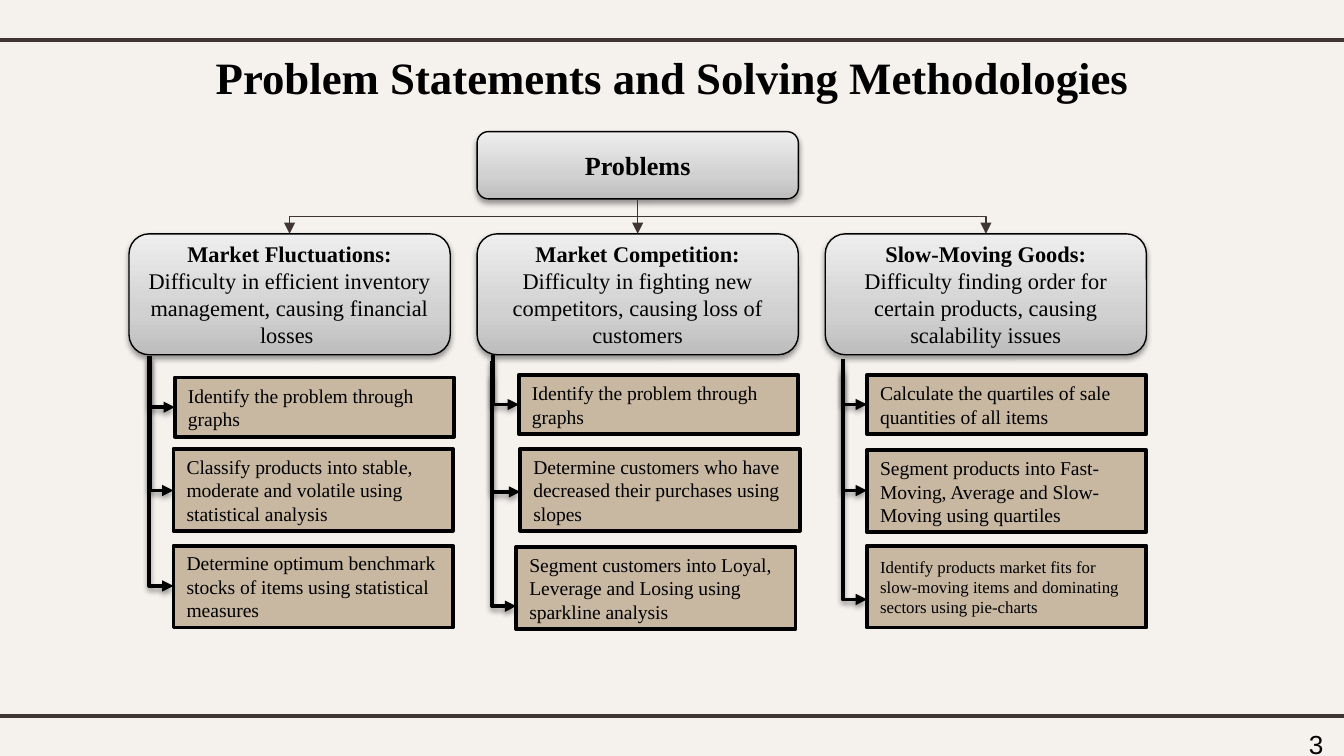
import copy
import pptx
import pptx.dml.color
import pptx.enum.shapes
import pptx.enum.text
import pptx.oxml
import pptx.oxml.ns
import pptx.util

Inches = pptx.util.Inches
Pt = pptx.util.Pt
RGBColor = pptx.dml.color.RGBColor
SHAPE = pptx.enum.shapes.MSO_SHAPE
LINK = pptx.enum.shapes.MSO_CONNECTOR
ALIGN = pptx.enum.text.PP_ALIGN
ANCHOR = pptx.enum.text.MSO_ANCHOR
qn = pptx.oxml.ns.qn
NS = pptx.oxml.ns.nsdecls("a")

PAPER = RGBColor(0xF5, 0xF2, 0xEE)
BLACK = RGBColor(0, 0, 0)
BROWN = RGBColor(0x3F, 0x35, 0x33)
TAN = RGBColor(0xC8, 0xB8, 0xA2)
GREYS = [
    (0, RGBColor(0xBD, 0xBD, 0xBD)),
    (0.35, RGBColor(0xD1, 0xD1, 0xD1)),
    (1, RGBColor(0xEE, 0xEE, 0xEE)),
]
SERIF = "Times New Roman"

HEAD_W, HEAD_H, HEAD_TOP = 2.39, 0.9, 1.74
ROOT_X, ROOT_TOP, ROOT_H = 3.55, 0.98, 0.5
STEP_W = 2.08
STEP_H = [0.44, 0.61, 0.61]

GROUPS = [
    (0.96, "Market Fluctuations:",
     " Difficulty in efficient inventory management, causing financial losses ", [
         ("Identify the problem through graphs", 10.5, 1.3, 2.81, 1.12, 2.67, 3.03),
         ("Classify products into stable, moderate and volatile using statistical analysis",
          10.5, 1.29, 3.34, 1.12, 2.65, 3.65),
         ("Determine optimum benchmark stocks of items using statistical measures",
          10.5, 1.29, 4.06, 1.11, 2.65, 4.36),
     ]),
    (3.55, "Market Competition: ",
     "Difficulty in fighting new competitors, causing loss of customers", [
         ("Identify the problem through graphs", 10.5, 3.86, 2.79, 3.67, 2.64, 3.01),
         ("Determine customers who have decreased their purchases using slopes",
          10.5, 3.87, 3.34, 3.66, 2.69, 3.66),
         ("Segment customers into Loyal, Leverage and Losing using sparkline analysis",
          10.5, 3.84, 4.07, 3.66, 2.79, 4.51),
     ]),
    (6.14, "Slow-Moving Goods: ",
     "Difficulty finding order for certain products, causing scalability issues", [
         ("Calculate the quartiles of sale quantities of all items",
          10.5, 6.45, 2.79, 6.27, 2.78, 3.01),
         ("Segment products into Fast-Moving, Average and Slow-Moving using quartiles",
          10.5, 6.45, 3.35, 6.27, 2.67, 3.65),
         ("Identify products market fits for slow-moving items and dominating sectors "
          "using pie-charts", 9, 6.45, 4.06, 6.27, 2.74, 4.46),
     ]),
]


def write(frame, runs, size, align=ALIGN.LEFT, font=SERIF):
    frame.word_wrap = True
    para = frame.paragraphs[0]
    para.alignment = align
    for text, bold in runs:
        run = para.add_run()
        run.text = text
        run.font.name = font
        run.font.size = Pt(size)
        run.font.bold = bold
        run.font.color.rgb = BLACK


def add_text(slide, area, runs, size, align=ALIGN.LEFT, font=SERIF):
    box = slide.shapes.add_textbox(*map(Inches, area))
    write(box.text_frame, runs, size, align, font)


def set_shade(props, shade):
    for old in props.findall(qn("a:effectLst")):
        props.remove(old)
    drop = (
        '<a:outerShdw blurRad="39370" dist="20320" dir="5400000" rotWithShape="0">'
        '<a:srgbClr val="000000"><a:alpha val="38000"/></a:srgbClr></a:outerShdw>'
    ) if shade else ""
    props.append(pptx.oxml.parse_xml(f"<a:effectLst {NS}>{drop}</a:effectLst>"))


def add_box(slide, kind, area, width):
    box = slide.shapes.add_shape(kind, *map(Inches, area))
    box.shadow.inherit = False
    box.line.color.rgb = BLACK
    box.line.width = Pt(width)
    box.text_frame.vertical_anchor = ANCHOR.MIDDLE
    return box


def add_head(slide, area, runs, size):
    box = add_box(slide, SHAPE.ROUNDED_RECTANGLE, area, 0.75)
    props = box._element.spPr
    box.fill.gradient()
    stops = props.find(qn("a:gradFill")).find(qn("a:gsLst"))
    stops.append(copy.deepcopy(stops[0]))
    for stop, (place, grey) in zip(box.fill.gradient_stops, GREYS):
        stop.position = place
        stop.color.rgb = grey
    box.fill.gradient_angle = 90
    set_shade(props, True)
    write(box.text_frame, runs, size, ALIGN.CENTER)


def add_step(slide, area, text, size):
    box = add_box(slide, SHAPE.RECTANGLE, area, 2)
    box.fill.solid()
    box.fill.fore_color.rgb = TAN
    write(box.text_frame, [(text, False)], size)


def add_line(slide, kind, ends, color, width, arrow=True, shade=False):
    line = slide.shapes.add_connector(kind, *map(Inches, ends))
    line.line.color.rgb = color
    line.line.width = Pt(width)
    props = line._element.spPr
    if arrow:
        tip = pptx.oxml.parse_xml(f'<a:tailEnd {NS} type="triangle"/>')
        props.find(qn("a:ln")).append(tip)
    set_shade(props, shade)
    return props


def add_elbow(slide, ends, color, width, preset, shade=False):
    x1, y1, x2, y2 = ends
    mid_x, mid_y = (x1 + x2) / 2, (y1 + y2) / 2
    half_w, half_h = abs(y2 - y1) / 2, abs(x2 - x1) / 2
    frame = (mid_x - half_w, mid_y - half_h, mid_x + half_w, mid_y + half_h)
    props = add_line(slide, LINK.ELBOW, frame, color, width, shade=shade)
    turn = props.find(qn("a:xfrm"))
    if x2 > x1:
        turn.set("rot", "16200000")
        turn.set("flipH", "1")
    else:
        turn.set("rot", "5400000")
    props.find(qn("a:prstGeom")).set("prst", preset)


def add_group(slide, left, head, body, steps):
    add_head(slide, (left, HEAD_TOP, HEAD_W, HEAD_H), [(head, True), (body, False)], 12)
    for (text, size, x, top, stem, start, end), height in zip(steps, STEP_H):
        add_step(slide, (x, top, STEP_W, height), text, size)
        add_elbow(slide, (stem, start, x, end), BLACK, 2, "bentConnector2", True)


def add_branch(slide, left):
    root = ROOT_X + HEAD_W / 2
    ends = (root, ROOT_TOP + ROOT_H, left + HEAD_W / 2, HEAD_TOP)
    if left == ROOT_X:
        add_line(slide, LINK.STRAIGHT, ends, BROWN, 0.75)
    else:
        add_elbow(slide, ends, BROWN, 0.75, "bentConnector3")


def main():
    deck = pptx.Presentation()
    deck.slide_width = Inches(10)
    deck.slide_height = Inches(10 * 9 / 16)
    slide = deck.slides.add_slide(deck.slide_layouts[6])
    slide.background.fill.solid()
    slide.background.fill.fore_color.rgb = PAPER
    for y in (0.3, 5.33):
        add_line(slide, LINK.STRAIGHT, (-0.08, y, 10.08, y), BROWN, 2.25, arrow=False)
    title = "Problem Statements and Solving Methodologies"
    add_text(slide, (0.93, 0.32, 8.14, 0.5), [(title, True)], 24, ALIGN.CENTER)
    add_head(slide, (ROOT_X, ROOT_TOP, HEAD_W, ROOT_H), [("Problems", True)], 14)
    for group in GROUPS:
        add_group(slide, *group)
        add_branch(slide, group[0])
    add_text(slide, (9.64, 5.37, 0.36, 0.34), [("3", False)], 14, font="Arial")
    deck.save("out.pptx")


if __name__ == "__main__":
    main()
